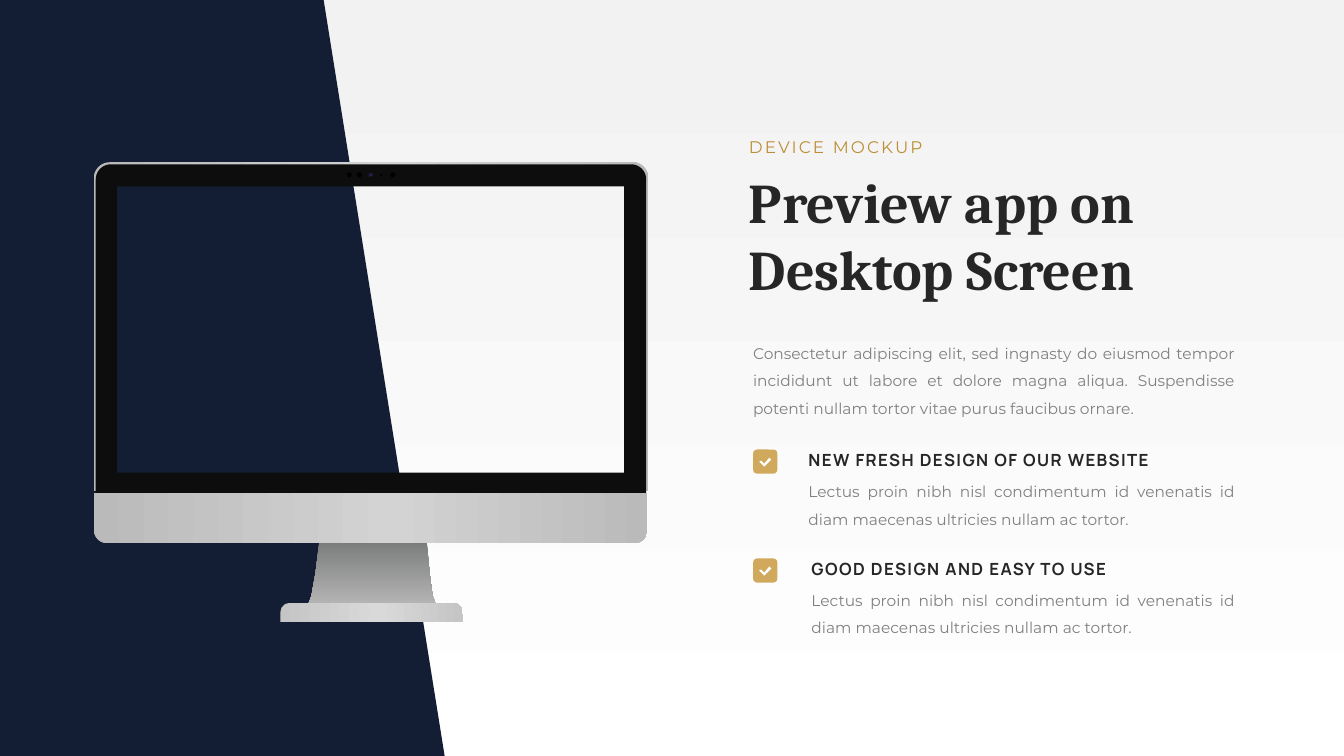
import math
from copy import deepcopy

from pptx import Presentation
from pptx.dml.color import RGBColor
from pptx.enum.shapes import MSO_SHAPE
from pptx.enum.text import MSO_AUTO_SIZE, PP_ALIGN
from pptx.util import Inches, Pt

ROUND_RECT = MSO_SHAPE.ROUNDED_RECTANGLE
ROUND_TOP = MSO_SHAPE.ROUND_2_SAME_RECTANGLE
OVAL = MSO_SHAPE.OVAL
JUSTIFY = PP_ALIGN.JUSTIFY
FIT_SHAPE = MSO_AUTO_SIZE.SHAPE_TO_FIT_TEXT

COLORS = {
    "navy": "131E35", "gold": "D0A95C", "dark_gold": "BC8F36",
    "ink": "262626", "gray": "808080", "white": "FFFFFF", "mist": "F2F2F2",
    "bezel": "0D0D0D", "black": "000000", "lens": "181717", "blue": "1D2787",
    "metal": "BABABA", "metal_light": "D3D3D3",
    "foot": "C5C5C5", "foot_light": "D9D9D9",
    "stand_top": "797B7A", "stand_bottom": "C0C0C0",
}
METAL = [(0, "metal"), (0.54, "metal_light"), (1, "metal")]
FOOT = [(0, "foot"), (0.54, "foot_light"), (1, "foot")]
STAND = [(0, "stand_top"), (1, "stand_bottom")]
BACKDROP = [(0.04, "mist"), (1, "white")]
DOWNWARD = 270

INTRO = ("Consectetur adipiscing elit, sed ingnasty do eiusmod tempor "
         "incididunt ut labore et dolore magna aliqua. Suspendisse potenti "
         "nullam tortor vitae purus faucibus ornare.")
DETAIL = ("Lectus proin nibh nisl condimentum id venenatis id diam maecenas "
          "ultricies nullam ac tortor.")
FEATURES = [
    (7.92, 4.41, "NEW FRESH DESIGN OF OUR WEBSITE"),
    (7.95, 5.49, "GOOD DESIGN AND EASY TO USE"),
]


def rgb(name):
    return RGBColor.from_string(COLORS[name])


def fill_gradient(fill, stops, angle=0):
    fill.gradient()
    fill.gradient_angle = angle
    if len(stops) == 3:
        last = fill.gradient_stops[1]._gs
        last.addprevious(deepcopy(last))
    for stop, (position, color) in zip(fill.gradient_stops, stops):
        stop.position = position
        stop.color.rgb = rgb(color)


def paint(sp, fill, angle=0):
    """Fill with a colour name or a list of gradient stops, without a line."""
    sp.shadow.inherit = False
    sp.line.fill.background()
    if isinstance(fill, str):
        sp.fill.solid()
        sp.fill.fore_color.rgb = rgb(fill)
    else:
        fill_gradient(sp.fill, fill, angle)


def add_preset(s, kind, x, y, w, h, fill, adjust=()):
    sp = s.shapes.add_shape(kind, Inches(x), Inches(y), Inches(w), Inches(h))
    for i, value in enumerate(adjust):
        sp.adjustments[i] = value
    paint(sp, fill)


def add_outline(s, contours, fill, angle=0):
    """Draw closed contours as one shape; an inner contour is a hole."""
    contours = [[(Inches(x), Inches(y)) for x, y in c] for c in contours]
    builder = s.shapes.build_freeform(*contours[0][0], scale=1.0)
    for i, points in enumerate(contours):
        if i:
            builder.move_to(*points[0])
        builder.add_line_segments(points[1:], close=True)
    paint(builder.convert_to_shape(), fill, angle)


def rect_points(x1, y1, x2, y2, top=0, bottom=0):
    """Corners of a rectangle, clockwise, rounded by the given radii."""
    corners = [(x1 + top, y1 + top, top, 180), (x2 - top, y1 + top, top, 270),
               (x2 - bottom, y2 - bottom, bottom, 0),
               (x1 + bottom, y2 - bottom, bottom, 90)]
    points = []
    for cx, cy, radius, start in corners:
        for step in range(0, 91, 9) if radius else [0]:
            a = math.radians(start + step)
            points.append((cx + radius * math.cos(a), cy + radius * math.sin(a)))
    return points


def add_text(s, x, y, w, h, text, size, font, color, bold=False, spacing=0,
             align=None, leading=None, wrap=True):
    tf = s.shapes.add_textbox(Inches(x), Inches(y), Inches(w), Inches(h)).text_frame
    tf.word_wrap = wrap
    tf.auto_size = FIT_SHAPE
    tf.text = text
    p = tf.paragraphs[0]
    p.alignment = align
    p.line_spacing = leading
    r = p.runs[0]
    r.font.size = Pt(size)
    r.font.name = font
    r.font.bold = bold
    r.font.color.rgb = rgb(color)
    if spacing:
        r._r.get_or_add_rPr().set("spc", str(int(spacing * 100)))


def add_body(s, x, y, w, h, text):
    add_text(s, x, y, w, h, text, 11, "Montserrat", "gray",
             align=JUSTIFY, leading=1.5)


def add_checkbox(s, x, y):
    add_preset(s, ROUND_RECT, x, y, 0.24, 0.24, "gold")
    tick = [(0.06, 0.12), (0.08, 0.11), (0.11, 0.14), (0.16, 0.08),
            (0.18, 0.1), (0.11, 0.17)]
    add_outline(s, [[(x + dx, y + dy) for dx, dy in tick]], "white")


def add_feature(s, x, y, heading):
    add_checkbox(s, 7.47, y + 0.05)
    width = 12.35 - x
    add_text(s, x, y, width, 0.3, heading, 12, "Manrope", "ink",
             bold=True, spacing=1)
    add_body(s, x, y + 0.23, width, 0.63, DETAIL)


def add_monitor(s):
    add_outline(s, [rect_points(0.93, 1.61, 6.43, 4.87, top=0.16),
                    rect_points(1.1, 1.76, 6.27, 4.75)], METAL)
    add_outline(s, [[(3.17, 5.35), (4.23, 5.35), (4.26, 5.68), (4.29, 5.91),
                     (4.32, 5.99), (4.49, 6.12), (2.87, 6.12), (3.06, 5.99),
                     (3.09, 5.91), (3.13, 5.68)]], STAND, DOWNWARD)
    add_outline(s, [rect_points(0.95, 1.63, 6.41, 5.38, top=0.15, bottom=0.15),
                    rect_points(1.16, 1.85, 6.19, 4.69)], "bezel")
    add_preset(s, ROUND_TOP, 0.93, 4.89, 5.49, 0.5, METAL, (0, 0.263))
    add_preset(s, ROUND_TOP, 2.78, 5.98, 1.81, 0.19, FOOT, (0.5, 0))
    for x, size, color in [(3.87, 0.05, "black"), (3.54, 0.05, "black"),
                           (3.44, 0.05, "black"), (3.65, 0.05, "lens"),
                           (3.77, 0.02, "black"), (3.67, 0.02, "blue")]:
        add_preset(s, OVAL, x, 1.735 - size / 2, size, size, color)


def main():
    prs = Presentation()
    prs.slide_width, prs.slide_height = Inches(13.33), Inches(7.5)
    s = prs.slides.add_slide(prs.slide_layouts[6])
    fill_gradient(s.background.fill, BACKDROP, DOWNWARD)
    add_outline(s, [[(0, 0), (3.21, 0), (4.41, 7.5), (0, 7.5)]], "navy")
    add_monitor(s)
    add_text(s, 7.33, 1.31, 1.99, 0.3, "DEVICE MOCKUP", 12, "Montserrat",
             "dark_gold", spacing=1.5, wrap=False)
    add_text(s, 7.33, 1.61, 5.02, 1.45, "Preview app on Desktop Screen", 40,
             "Cambria", "ink", bold=True)
    add_body(s, 7.37, 3.27, 4.98, 0.9, INTRO)
    for x, y, heading in FEATURES:
        add_feature(s, x, y, heading)
    prs.save("out.pptx")


if __name__ == "__main__":
    main()
